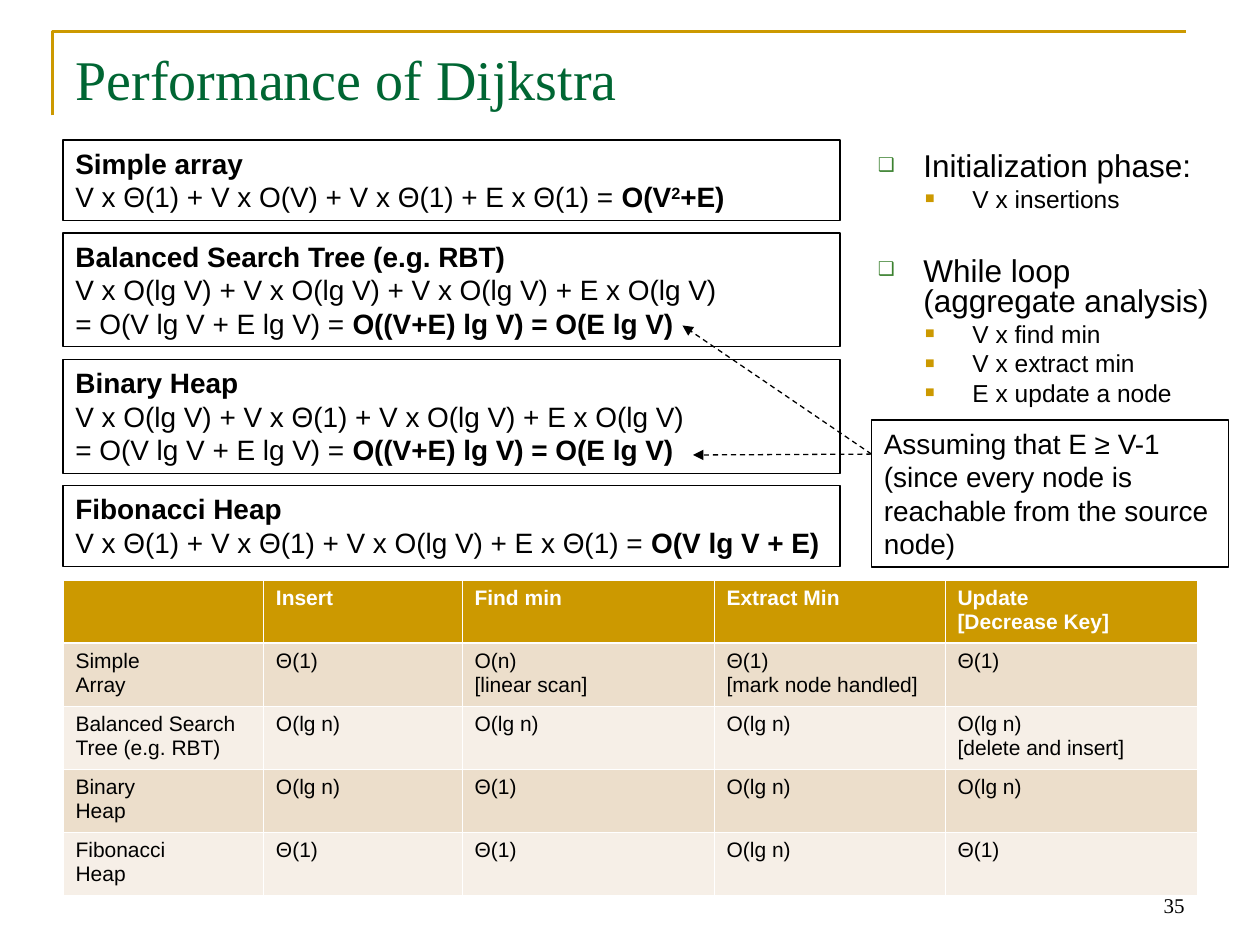
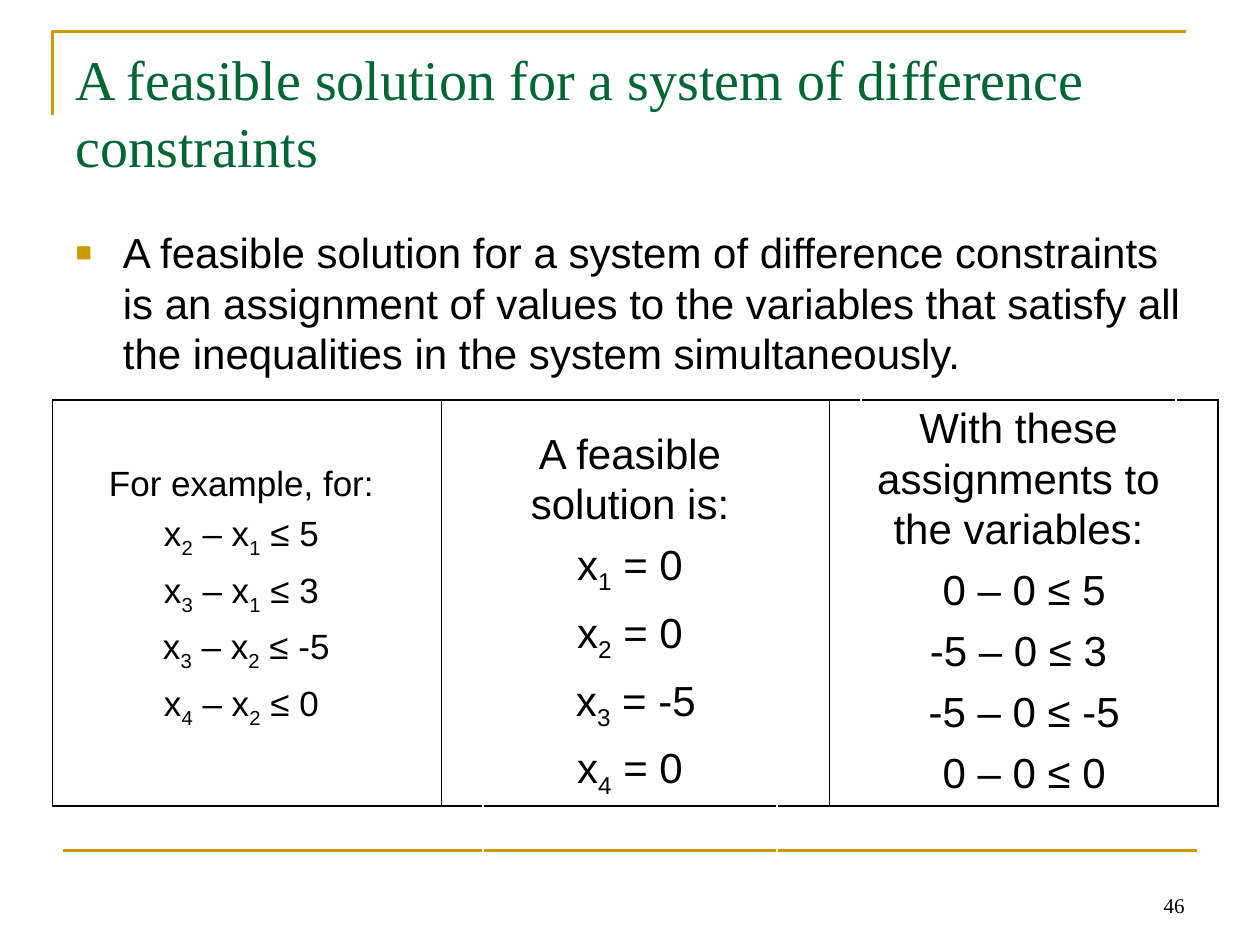
from lxml.etree import SubElement
from pptx import Presentation
from pptx.dml.color import RGBColor
from pptx.enum.dml import MSO_LINE
from pptx.enum.shapes import MSO_CONNECTOR, MSO_SHAPE
from pptx.enum.text import MSO_ANCHOR, MSO_AUTO_SIZE, PP_ALIGN
from pptx.oxml.ns import qn
from pptx.util import Pt

COLORS = {
    "gold": "CC9900",
    "title": "006633",
    "bullet": "3B812F",
    "text": "000000",
    "white": "FFFFFF",
    "band": "ECDECB",
    "light band": "F6EFE7",
}


def write(paragraph, text, size, font="Arial", color="text", bold=False, shift=-25):
    """Add runs: *...* is bold, ~...~ is raised or lowered by shift percent, \\v breaks the line."""
    for bold_index, bold_part in enumerate(text.split("*")):
        for shift_index, shift_part in enumerate(bold_part.split("~")):
            for line_index, words in enumerate(shift_part.split("\v")):
                if line_index:
                    paragraph.add_line_break()
                if not words:
                    continue
                run = paragraph.add_run()
                run.text = words
                formats = {"size": Pt(size), "name": font, "bold": bold or bold_index % 2 == 1}
                for name, value in formats.items():
                    setattr(run.font, name, value)
                run.font.color.rgb = RGBColor.from_string(COLORS[color])
                if shift_index % 2:
                    run._r.get_or_add_rPr().set("baseline", str(shift * 1000))


def set_borders(cell, color, **widths):
    properties = cell._tc.get_or_add_tcPr()
    for index, side in enumerate("LRTB"):
        line = properties.makeelement(qn(f"a:ln{side}"), w=str(Pt(widths[side])))
        fill = SubElement(line, qn("a:solidFill"))
        SubElement(fill, qn("a:srgbClr"), val=COLORS[color])
        properties.insert(index, line)


presentation = Presentation()
presentation.slide_width, presentation.slide_height = Pt(720), Pt(540)
layout = presentation.slide_layouts[1]

# Titles, page numbers and bulleted lists
GREEN_ITEM = dict(level=1, left=52.5, hang=26, size=18, mark="❑", mark_color="bullet",
                  mark_size=60, before=4.5, spacing=0.8)
GOLD_ITEM = dict(level=2, left=80.5, hang=27, size=14, mark="■", mark_color="gold",
                 mark_size=65, before=3.5, spacing=0.8)
STATEMENT = dict(level=0, left=27, hang=27, size=24, mark="■", mark_color="gold",
                 mark_size=65, before=6, spacing=1.0)
pages = [
    ("Performance of Dijkstra", "35", (468, 84, 306, 295), [
        ("Initialization phase:", GREEN_ITEM),
        ("V x insertions", GOLD_ITEM),
        ("While loop\v(aggregate analysis)", {**GREEN_ITEM, "before": 25.5}),
        ("V x find min", GOLD_ITEM),
        ("V x extract min", GOLD_ITEM),
        ("E x update a node", GOLD_ITEM),
    ]),
    ("A feasible solution for a system of difference constraints", "46", (36, 126, 648, 356), [
        ("A feasible solution for a system of difference constraints is an assignment of values "
         "to the variables that satisfy all the inequalities in the system simultaneously.",
         STATEMENT),
    ]),
]
for title_text, number, body_place, items in pages:
    slide = presentation.slides.add_slide(layout)
    title, body = slide.shapes.title, slide.placeholders[1]
    number_box = slide.shapes.add_textbox(0, 0, 0, 0)
    places = [(title, (36, 21.6, 648, 90), MSO_ANCHOR.TOP),
              (body, body_place, MSO_ANCHOR.TOP),
              (number_box, (516, 492, 168, 36), MSO_ANCHOR.BOTTOM)]
    for shape, place, anchor in places:
        shape.left, shape.top, shape.width, shape.height = map(Pt, place)
        frame = shape.text_frame
        frame.word_wrap = True
        frame.auto_size = MSO_AUTO_SIZE.NONE
        frame.vertical_anchor = anchor

    paragraph = title.text_frame.paragraphs[0]
    paragraph.alignment = PP_ALIGN.LEFT
    write(paragraph, title_text, 32, "Times New Roman", "title")
    paragraph = number_box.text_frame.paragraphs[0]
    paragraph.alignment = PP_ALIGN.RIGHT
    write(paragraph, number, 12, "Times New Roman")

    for index, (text, item) in enumerate(items):
        frame = body.text_frame
        paragraph = frame.add_paragraph() if index else frame.paragraphs[0]
        properties = paragraph._p.get_or_add_pPr()
        properties.set("marL", str(Pt(item["left"])))
        properties.set("indent", str(-Pt(item["hang"])))
        mark_color = SubElement(properties, qn("a:buClr"))
        SubElement(mark_color, qn("a:srgbClr"), val=COLORS[item["mark_color"]])
        SubElement(properties, qn("a:buSzPct"), val=str(item["mark_size"] * 1000))
        SubElement(properties, qn("a:buChar"), char=item["mark"])
        formats = {"level": item["level"], "line_spacing": item["spacing"],
                   "space_before": Pt(item["before"] if index else 0)}
        for name, value in formats.items():
            setattr(paragraph, name, value)
        write(paragraph, text, item["size"])

dijkstra_slide, feasible_slide = presentation.slides

# Gold corner and bottom rule, kept on the layout
builder = dijkstra_slide.shapes.build_freeform(Pt(30), Pt(66))
builder.add_line_segments([(Pt(30), Pt(18)), (Pt(678), Pt(18))], close=False)
corner = builder.convert_to_shape()
corner.fill.background()
corner.shadow.inherit = False
rule = dijkstra_slide.shapes.add_connector(
    MSO_CONNECTOR.STRAIGHT, Pt(36), Pt(486), Pt(684), Pt(486))
for shape_id, shape in enumerate((corner, rule), start=20):
    shape.line.color.rgb = RGBColor.from_string(COLORS["gold"])
    shape.line.width = Pt(1.5)
    shape.element.xpath(".//p:cNvPr")[0].set("id", str(shape_id))
    layout.shapes.element.append(shape.element)
SubElement(rule.element.spPr, qn("a:effectLst"))

# Running times of each data structure
running_times = [
    ["", "Insert", "Find min", "Extract Min", "Update\n[Decrease Key]"],
    ["Simple\vArray", "Θ(1)", "O(n)\n[linear scan]", "Θ(1)\n[mark node handled]", "Θ(1)"],
    ["Balanced Search Tree (e.g. RBT)", "O(lg n)", "O(lg n)", "O(lg n)",
     "O(lg n)\n[delete and insert]"],
    ["Binary\vHeap", "O(lg n)", "Θ(1)", "O(lg n)", "O(lg n)"],
    ["Fibonacci\vHeap", "Θ(1)", "Θ(1)", "O(lg n)", "Θ(1)"],
]
times_table = dijkstra_slide.shapes.add_table(
    5, 5, Pt(36), Pt(331.5), Pt(648), Pt(180)).table
times_table.horz_banding = False
for column, width in zip(times_table.columns, (114.5, 113.5, 144, 132, 144)):
    column.width = Pt(width)
for row_index, row in enumerate(running_times):
    header = row_index == 0
    fill = "gold" if header else ("light band", "band")[row_index % 2]
    for column_index, cell_text in enumerate(row):
        cell = times_table.cell(row_index, column_index)
        cell.fill.solid()
        cell.fill.fore_color.rgb = RGBColor.from_string(COLORS[fill])
        set_borders(cell, "white", L=0.45, R=0.45, T=1.47 if row_index == 1 else 0.45,
                    B=1.47 if header else 0.45)
        for index, text in enumerate(cell_text.split("\n")):
            frame = cell.text_frame
            paragraph = frame.add_paragraph() if index else frame.paragraphs[0]
            write(paragraph, text, 12, color="white" if header else "text", bold=header)

# Empty three-column grid behind the example
example_table = feasible_slide.shapes.add_table(
    1, 3, Pt(30), Pt(228.5), Pt(666), Pt(232)).table
example_table.first_row = example_table.horz_banding = False
for index in range(3):
    cell = example_table.cell(0, index)
    cell.fill.background()
    set_borders(cell, "text", L=0.45 if index else 1.08, R=1.08 if index == 2 else 0.45,
                T=1.08, B=1.08)

# Text boxes: analyses on the first slide, example columns on the second
analyses = [
    (46, ["*Simple array*\vV x Θ(1) + V x O(V) + V x Θ(1) + E x Θ(1) = *O(V~2~+E)*"]),
    (65, ["*Balanced Search Tree (e.g. RBT)*",
          "V x O(lg V) + V x O(lg V) + V x O(lg V) + E x O(lg V)",
          "= O(V lg V + E lg V) = *O((V+E) lg V) = O(E lg V)*"]),
    (65, ["*Binary Heap*",
          "V x O(lg V) + V x Θ(1) + V x O(lg V) + E x O(lg V)",
          "= O(V lg V + E lg V) = *O((V+E) lg V) = O(E lg V)*"]),
    (46, ["*Fibonacci Heap*",
          "V x Θ(1) + V x Θ(1) + V x O(lg V) + E x Θ(1) = *O(V lg V + E)*"]),
]
ANALYSIS = dict(slide=dijkstra_slide, line="text", size=16, before=0,
                alignment=PP_ALIGN.LEFT, shift=30)
COLUMN = dict(slide=feasible_slide, line="white", size=24, before=6,
              alignment=PP_ALIGN.CENTER, shift=-25)
boxes = []
top = 80
for height, lines in analyses:
    boxes.append(((36, top, 444, height), lines, ANALYSIS))
    top += height + 7.2
boxes += [
    ((498, 240, 204, 84),
     ["Assuming that E ≥ V-1\v(since every node is reachable from the source node)"], ANALYSIS),
    ((276, 240.5, 168, 249),
     ["A feasible solution is:", "x~1~ = 0", "x~2~ = 0", " x~3~ = -5", "x~4~ = 0"], COLUMN),
    ((492, 226, 180, 233),
     ["With these assignments to the variables:",
      " 0 – 0 ≤ 5", "-5 – 0 ≤ 3", " -5 – 0 ≤ -5", " 0 – 0 ≤ 0"], COLUMN),
    ((48, 260, 180, 160.5),
     ["For example, for:", "x~2~ – x~1~ ≤ 5", "x~3~ – x~1~ ≤ 3", " x~3~ – x~2~ ≤ -5",
      "x~4~ – x~2~ ≤ 0"], {**COLUMN, "line": None, "size": 20, "before": 5}),
]
for place, lines, style in boxes:
    box = style["slide"].shapes.add_shape(MSO_SHAPE.RECTANGLE, *map(Pt, place))
    box.shadow.inherit = False
    box.fill.background()
    if style["line"]:
        box.line.color.rgb = RGBColor.from_string(COLORS[style["line"]])
        box.line.width = Pt(0.75)
    else:
        box.line.fill.background()
    frame = box.text_frame
    frame.word_wrap = True
    frame.vertical_anchor = MSO_ANCHOR.TOP
    for index, text in enumerate(lines):
        paragraph = frame.add_paragraph() if index else frame.paragraphs[0]
        paragraph.alignment = style["alignment"]
        paragraph.space_before = Pt(style["before"] if index else 0)
        write(paragraph, text, style["size"], shift=style["shift"])

# Arrows from the assumption to the two bounds that use it
for end_x, end_y in ((396, 260), (390, 186)):
    arrow = dijkstra_slide.shapes.add_connector(
        MSO_CONNECTOR.STRAIGHT, Pt(498), Pt(259.5), Pt(end_x), Pt(end_y))
    arrow.line.color.rgb = RGBColor.from_string(COLORS["text"])
    arrow.line.width = Pt(0.75)
    arrow.line.dash_style = MSO_LINE.DASH
    properties = arrow.element.spPr
    SubElement(properties.find(qn("a:ln")), qn("a:tailEnd"), type="triangle")
    SubElement(properties, qn("a:effectLst"))

presentation.save("out.pptx")
